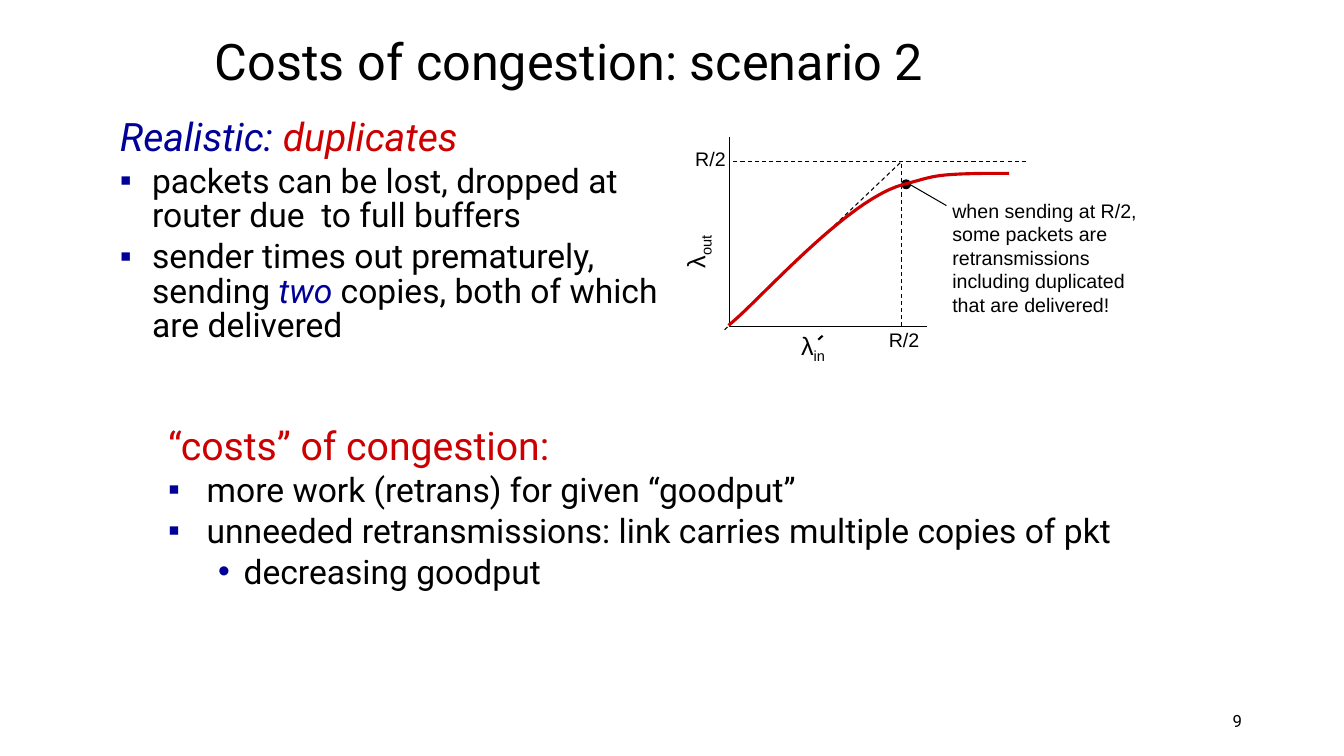
from lxml.etree import SubElement
from pptx import Presentation
from pptx.dml.color import RGBColor
from pptx.enum.dml import MSO_LINE
from pptx.enum.shapes import MSO_CONNECTOR, MSO_SHAPE
from pptx.enum.text import MSO_ANCHOR, MSO_AUTO_SIZE, PP_ALIGN
from pptx.oxml.ns import qn
from pptx.util import Cm, Pt

BLACK = RGBColor(0x00, 0x00, 0x00)
RED = RGBColor(0xCC, 0x00, 0x00)
BLUE = RGBColor(0x00, 0x00, 0x99)

TITLE = "Costs of congestion: scenario 2"
HEAD = dict(size=28, color=RED)
ACCENT = dict(color=BLUE, italic=True)
SQUARE = dict(char="▪", before=4.8)

REALISTIC = [
    ([("Realistic: ", dict(HEAD, **ACCENT)), ("duplicates", dict(HEAD, italic=True))], {}),
    ([("packets can be lost, dropped at router due  to full buffers", {})],
     dict(SQUARE, margin=0.81, hang=0.81)),
    ([("sender times out prematurely, sending ", {}), ("two ", ACCENT),
      ("copies, both of which are delivered", {})],
     dict(SQUARE, margin=0.81, hang=0.81)),
]
COSTS = [
    ([("“costs” of congestion:", HEAD)], {}),
    ([("more work (retrans) for given “goodput”", {})], SQUARE),
    ([("unneeded retransmissions: link carries multiple copies of pkt", {})], SQUARE),
    ([("decreasing goodput", {})],
     dict(char="•", before=4.8, margin=1.9, hang=0.64, level=1)),
]
NOTE = ("when sending at R/2, some packets are retransmissions "
        "including duplicated that are delivered!")

LEFT, BASE = 18.38, 8.23
HALF_X, HALF_Y = 22.73, 4.06
LINES = [
    ((LEFT, 3.45), (LEFT, BASE), {}),
    ((23.37, BASE), (LEFT, BASE), {}),
    ((25.86, HALF_Y), (LEFT, HALF_Y), dict(dash=True)),
    ((18.26, 8.31), (HALF_X, HALF_Y), dict(dash=True)),
    ((HALF_X, BASE), (HALF_X, HALF_Y), dict(dash=True)),
    ((23.85, 5.18), (22.76, 4.55), dict(arrow=True)),
    ((20.62, 8.56), (20.73, 8.46), dict(width=1.5)),
]
LABELS = [
    ((17.27, 3.58, 1.27, 0.84), [("R/2", 14)], {}),
    ((22.15, 8.13, 1.27, 0.84), [("R/2", 14)], {}),
    ((16.66, 5.64, 1.73, 1.02), [("λ", 18), ("out", 18)], dict(rotation=270)),
    ((19.94, 8.2, 1.19, 1.02), [("λ", 18), ("in", 18)], {}),
    ((23.75, 4.88, 5.23, 3.25), [(NOTE, 14)], dict(wrap=True)),
]
CURVE = [
    ((18.36, 8.2), (19.1, 7.62), (21.31, 5.05), (22.76, 4.65)),
    ((22.76, 4.65), (23.55, 4.45), (23.47, 4.39), (24.84, 4.37)),
    ((24.84, 4.37), (25.4, 4.37), (25.3, 4.37), (25.43, 4.37)),
]
STEPS = 24


def add_run(p, text, size=24, color=BLACK, italic=False, name="Roboto", baseline=0):
    r = p.add_run()
    r.text = text
    r.font.size = Pt(size)
    r.font.name = name
    r.font.italic = italic
    r.font.color.rgb = color
    if baseline:
        r._r.get_or_add_rPr().set("baseline", str(baseline * 1000))


def format_paragraph(p, char=None, before=0, margin=0.97, hang=0.97, level=0):
    pPr = p._p.get_or_add_pPr()
    pPr.set("marL", str(Cm(margin)))
    pPr.set("indent", str(-Cm(hang)))
    if char:
        SubElement(SubElement(pPr, qn("a:buClr")), qn("a:srgbClr"), val=str(BLUE))
        SubElement(pPr, qn("a:buFont"), typeface="Arial")
        SubElement(pPr, qn("a:buChar"), char=char)
    else:
        SubElement(pPr, qn("a:buNone"))
    p.level = level
    p.line_spacing = 0.85
    p.space_before = Pt(before)


def place(sp, left, top, width, height):
    sp.left, sp.top, sp.width, sp.height = Cm(left), Cm(top), Cm(width), Cm(height)


def add_box(s, box, wrap=True):
    sp = s.shapes.add_textbox(*map(Cm, box))
    sp.text_frame.word_wrap = wrap
    return sp


def fill_list(tf, items):
    tf.auto_size = MSO_AUTO_SIZE.NONE
    for i, (runs, layout) in enumerate(items):
        p = tf.add_paragraph() if i else tf.paragraphs[0]
        format_paragraph(p, **layout)
        for text, style in runs:
            add_run(p, text, **style)


def add_line(s, start, end, width=0.75, dash=False, arrow=False):
    line = s.shapes.add_connector(MSO_CONNECTOR.STRAIGHT, *map(Cm, start + end))
    line.line.color.rgb = BLACK
    line.line.width = Pt(width)
    if dash:
        line.line.dash_style = MSO_LINE.DASH
    if arrow:
        SubElement(line.line._get_or_add_ln(), qn("a:tailEnd"), type="triangle")
    SubElement(line._element.spPr, qn("a:effectLst"))


def add_label(s, box, runs, rotation=0, wrap=False):
    sp = add_box(s, box, wrap)
    sp.rotation = rotation
    for i, (text, size) in enumerate(runs):
        add_run(sp.text_frame.paragraphs[0], text, size=size, name="Arial",
                baseline=-25 * i)


def bezier(a, b, c, d, t):
    u = 1 - t
    return tuple(Cm(u**3 * i + 3 * u * u * t * j + 3 * u * t * t * k + t**3 * m)
                 for i, j, k, m in zip(a, b, c, d))


def add_curve(s):
    points = [bezier(*part, n / STEPS) for part in CURVE for n in range(1, STEPS + 1)]
    builder = s.shapes.build_freeform(*map(Cm, CURVE[0][0]))
    builder.add_line_segments(points, close=False)
    sp = builder.convert_to_shape()
    sp.shadow.inherit = False
    sp.fill.background()
    sp.line.color.rgb = RED
    sp.line.width = Pt(2.25)


def add_dot(s):
    sp = s.shapes.add_shape(MSO_SHAPE.OVAL, Cm(22.71), Cm(4.52), Cm(0.25), Cm(0.25))
    sp.shadow.inherit = False
    sp.fill.solid()
    sp.fill.fore_color.rgb = BLACK
    sp.line.fill.background()


def main():
    prs = Presentation()
    prs.slide_width, prs.slide_height = Cm(33.87), Cm(19.05)
    s = prs.slides.add_slide(prs.slide_layouts[1])

    title, body = s.shapes.title, s.placeholders[1]
    place(title, 5.16, 0.4, 21.59, 2.41)
    tf = title.text_frame
    tf.auto_size = MSO_AUTO_SIZE.NONE
    tf.vertical_anchor = MSO_ANCHOR.MIDDLE
    p = tf.paragraphs[0]
    p.alignment = PP_ALIGN.LEFT
    p.line_spacing = 0.9
    add_run(p, TITLE, size=36)

    place(body, 2.77, 2.88, 14.5, 5.33)
    fill_list(body.text_frame, REALISTIC)
    fill_list(add_box(s, (3.99, 10.67, 24.61, 2.74)).text_frame, COSTS)

    for start, end, style in LINES:
        add_line(s, start, end, **style)
    add_dot(s)
    add_curve(s)
    for box, runs, style in LABELS:
        add_label(s, box, runs, **style)

    tf = add_box(s, (23.93, 17.65, 7.62, 1.02)).text_frame
    tf.vertical_anchor = MSO_ANCHOR.MIDDLE
    tf.paragraphs[0].alignment = PP_ALIGN.RIGHT
    add_run(tf.paragraphs[0], "9", size=12)

    prs.save("out.pptx")


if __name__ == "__main__":
    main()
